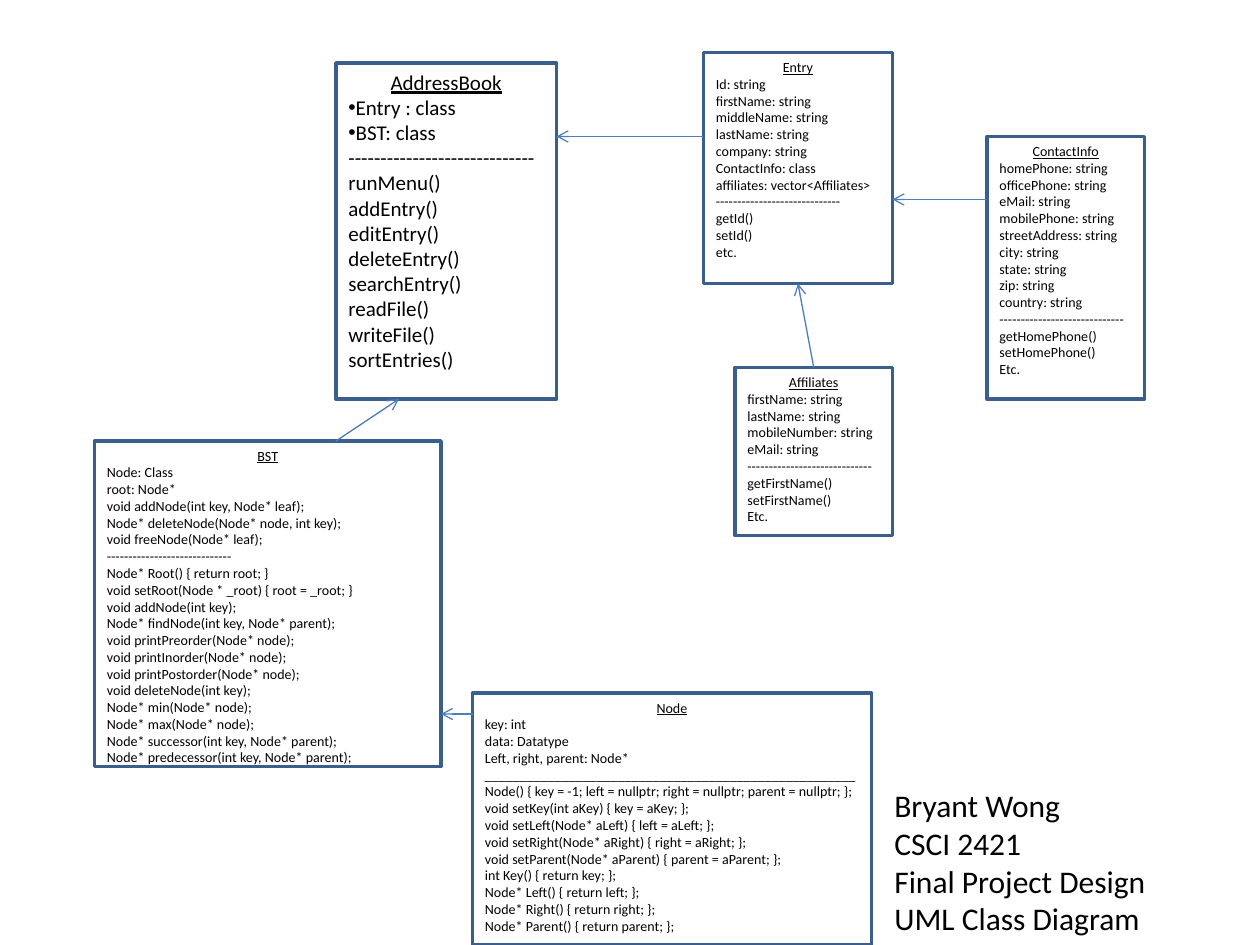
from dataclasses import dataclass
from lxml import etree
from pptx import Presentation
from pptx import util as u
from pptx.dml.color import RGBColor
from pptx.enum import shapes, text
from pptx.oxml import ns

Pt = u.Pt


@dataclass(frozen=True)
class Theme:
    font: str = "Calibri"
    ink: RGBColor = RGBColor(0, 0, 0)
    border: RGBColor = RGBColor(0x3A, 0x5F, 0x8C)
    arrow: RGBColor = RGBColor(0x4B, 0x7E, 0xBC)
    border_width: float = 2
    arrow_width: float = 0.75
    large: int = 12
    small: int = 8
    caption: int = 18


theme = Theme()
RULE = "-" * 29

# Content: name, (left, top, width, height), type size, attributes, rule, methods
classes = [
    ("AddressBook", (192, 36, 126, 192), theme.large,
     ["• Entry : class", "• BST: class"], RULE,
     ["runMenu()", "addEntry()", "editEntry()", "deleteEntry()",
      "searchEntry()", "readFile()", "writeFile()", "sortEntries()"]),
    ("Entry", (402, 30, 108, 132), theme.small,
     ["Id: string", "firstName: string", "middleName: string",
      "lastName: string", "company: string", "ContactInfo: class",
      "affiliates: vector<Affiliates>"], RULE,
     ["getId()", "setId()", "etc."]),
    ("Affiliates", (420, 210, 90, 96), theme.small,
     ["firstName: string", "lastName: string", "mobileNumber: string",
      "eMail: string"], RULE,
     ["getFirstName()", "setFirstName()", "Etc."]),
    ("BST", (54, 252, 198, 186), theme.small,
     ["Node: Class", "root: Node*", "void addNode(int key, Node* leaf);",
      "Node* deleteNode(Node* node, int key);",
      "void freeNode(Node* leaf);"], RULE,
     ["Node* Root() { return root; }",
      "void setRoot(Node * _root) { root = _root; }",
      "void addNode(int key);", "Node* findNode(int key, Node* parent);",
      "void printPreorder(Node* node);", "void printInorder(Node* node);",
      "void printPostorder(Node* node);", "void deleteNode(int key);",
      "Node* min(Node* node);", "Node* max(Node* node);",
      "Node* successor(int key, Node* parent);",
      "Node* predecessor(int key, Node* parent);"]),
    ("Node", (270, 396, 228, 144), theme.small,
     ["key: int", "data: Datatype", "Left, right, parent: Node*"], "_" * 53,
     ["Node() { key = -1; left = nullptr; right = nullptr; parent = nullptr; };",
      "void setKey(int aKey) { key = aKey; };",
      "void setLeft(Node* aLeft) { left = aLeft; };",
      "void setRight(Node* aRight) { right = aRight; };",
      "void setParent(Node* aParent) { parent = aParent; };",
      "int Key() { return key; };", "Node* Left() { return left; };",
      "Node* Right() { return right; };",
      "Node* Parent() { return parent; };"]),
    ("ContactInfo", (564, 78, 90, 150), theme.small,
     ["homePhone: string", "officePhone: string", "eMail: string",
      "mobilePhone: string", "streetAddress: string", "city: string",
      "state: string", "zip: string", "country: string"], RULE,
     ["getHomePhone()", "setHomePhone()", "Etc."]),
]
caption_box = (504, 445.6, 186, 94.3)
caption = ["Bryant Wong", "CSCI 2421", "Final Project Design",
           "UML Class Diagram"]

# Upward arrows run from a top edge to a bottom edge: (class, distance along)
upward = [(("Affiliates", 45), ("Entry", 54)),
          (("BST", 138), ("AddressBook", 36))]
# Level arrows run from a left edge to a right edge: class, distance down, target
level = [("Node", 12, "BST"),
         ("ContactInfo", 36, "Entry"),
         ("Entry", 48, "AddressBook")]


def write(tf, lines, size):
    tf.word_wrap = True
    tf.vertical_anchor = text.MSO_ANCHOR.TOP
    tf.text = "\n".join(line.removeprefix("• ") for line in lines)
    for p, line in zip(tf.paragraphs, lines):
        p.alignment = text.PP_ALIGN.LEFT
        if line.startswith("• "):
            pPr = p._p.get_or_add_pPr()
            etree.SubElement(pPr, ns.qn("a:buFont"), typeface="Arial")
            etree.SubElement(pPr, ns.qn("a:buChar"), char="•")
        for r in p.runs:
            r.font.name, r.font.size = theme.font, Pt(size)
            r.font.color.rgb = theme.ink


def add_class(s, name, box, size, attributes, rule, methods):
    sp = s.shapes.add_shape(shapes.MSO_SHAPE.RECTANGLE, *map(Pt, box))
    sp.shadow.inherit = False
    sp.fill.background()
    sp.line.color.rgb = theme.border
    sp.line.width = Pt(theme.border_width)
    write(sp.text_frame, [name, *attributes, rule, *methods], size)
    title = sp.text_frame.paragraphs[0]
    title.alignment = text.PP_ALIGN.CENTER
    title.runs[0].font.underline = True


def add_arrow(s, *ends):
    line = s.shapes.add_connector(shapes.MSO_CONNECTOR.STRAIGHT,
                                  *map(Pt, ends))
    line.line.color.rgb = theme.arrow
    line.line.width = Pt(theme.arrow_width)
    etree.SubElement(line.line._get_or_add_ln(), ns.qn("a:tailEnd"),
                     type="arrow")
    etree.SubElement(line._element.spPr, ns.qn("a:effectLst"))


prs = Presentation()
prs.slide_width, prs.slide_height = Pt(720), Pt(540)
s = prs.slides.add_slide(prs.slide_layouts[6])

# Class boxes
for item in classes:
    add_class(s, *item)

# Arrows between classes
boxes = {name: box for name, box, *_ in classes}
for (source, out), (target, into) in upward:
    left, top, _, _ = boxes[source]
    x, y, _, height = boxes[target]
    add_arrow(s, left + out, top, x + into, y + height)
for source, down, target in level:
    left, top, _, _ = boxes[source]
    x, _, width, _ = boxes[target]
    add_arrow(s, left, top + down, x + width, top + down)

# Caption
tb = s.shapes.add_textbox(*map(Pt, caption_box))
write(tb.text_frame, caption, theme.caption)
tb.text_frame.auto_size = text.MSO_AUTO_SIZE.SHAPE_TO_FIT_TEXT

prs.save("out.pptx")
